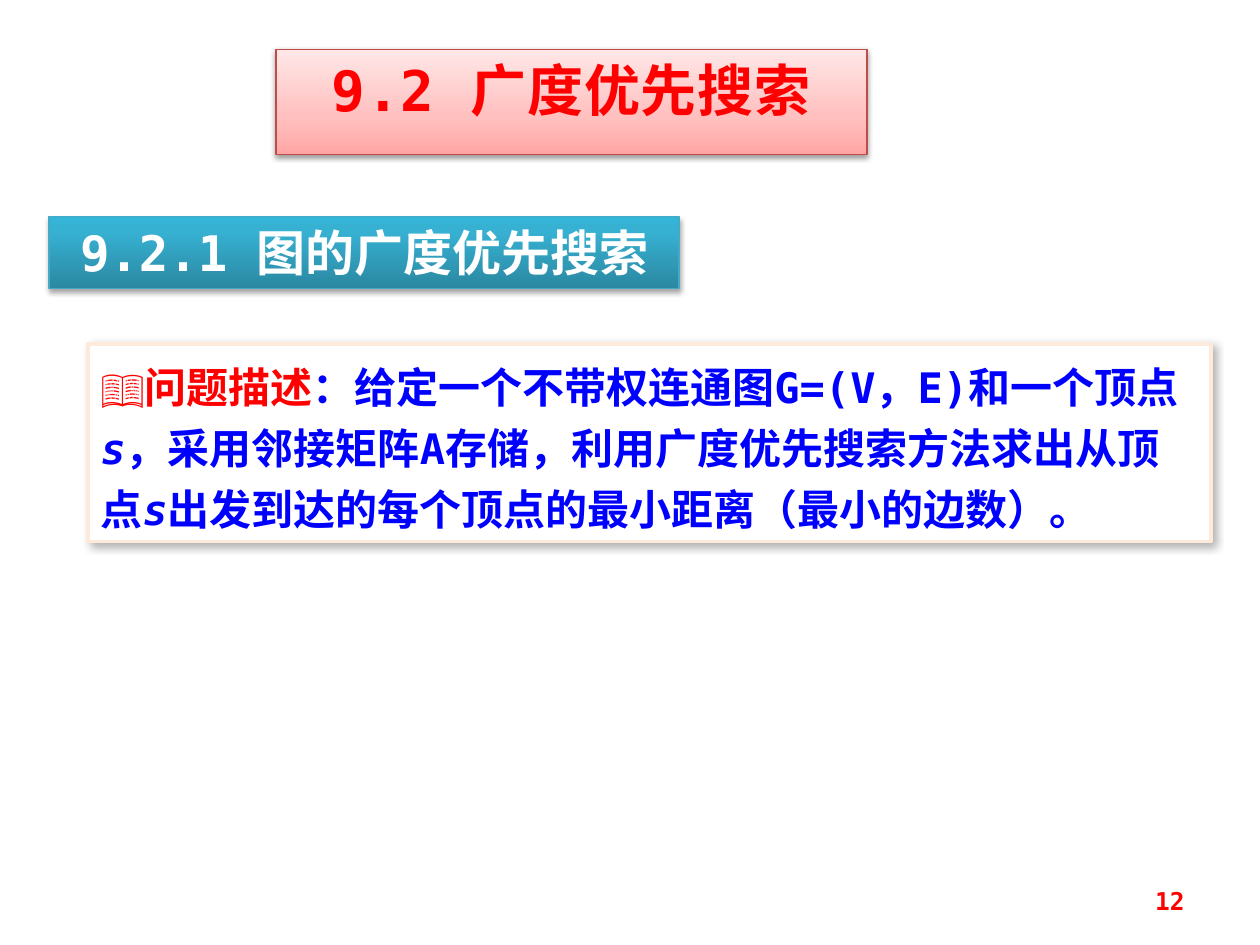
from dataclasses import dataclass

from lxml.etree import SubElement
from pptx import Presentation
from pptx.dml.color import RGBColor
from pptx.enum.shapes import MSO_SHAPE
from pptx.enum.text import MSO_ANCHOR, MSO_AUTO_SIZE, PP_ALIGN
from pptx.oxml.ns import qn
from pptx.util import Inches, Pt


@dataclass(frozen=True)
class Theme:
    font: str = "DejaVu Sans Mono"
    red: str = "FF0000"
    blue: str = "0000FF"
    white: str = "FFFFFF"
    pink_line: str = "BF4C48"
    teal_line: str = "46AAC5"
    cream_line: str = "FDEADA"
    pink_stops: tuple = ((0, "FFA6A5"), (35, "FFC0BF"), (100, "FFE7E7"))
    teal_stops: tuple = ((0, "2A88A2"), (80, "37B1D2"), (100, "34B4D6"))
    title_size: int = 32
    heading_size: int = 28
    body_size: int = 24
    number_size: int = 14
    body_leading: int = 35


THEME = Theme()
WIDTH, HEIGHT = 10, 7.5

TITLE = "9.2 广度优先搜索"
HEADING = "9.2.1 图的广度优先搜索"
# (text, colour, italic)
PROBLEM = [
    ("📖问题描述", THEME.red, False),
    ("：给定一个不带权连通图G=(V，E)和一个顶点", THEME.blue, False),
    ("s", THEME.blue, True),
    ("，采用邻接矩阵A存储，利用广度优先搜索方法求出从顶点", THEME.blue, False),
    ("s", THEME.blue, True),
    ("出发到达的每个顶点的最小距离（最小的边数）。", THEME.blue, False),
]
PAGE_NUMBER = "12"


def rgb(colour):
    return RGBColor.from_string(colour)


def place(shape, left, top, width, height):
    shape.left, shape.top = Inches(left), Inches(top)
    shape.width, shape.height = Inches(width), Inches(height)


def fill_gradient(shape, stops):
    """Fill from bottom to top with any number of (percent, colour) stops."""
    shape.fill.gradient()
    shape.fill.gradient_angle = 90
    stop_list = shape._element.spPr.find(".//" + qn("a:gsLst"))
    for stop in list(stop_list):
        stop_list.remove(stop)
    for percent, colour in stops:
        stop = SubElement(stop_list, qn("a:gs"), pos=str(percent * 1000))
        SubElement(stop, qn("a:srgbClr"), val=colour)


def outline(shape, colour, width):
    shape.line.color.rgb = rgb(colour)
    shape.line.width = Pt(width)


def cast_shadow(shape, opacity, blur, distance, angle):
    shape.shadow.inherit = False
    effects = shape._element.spPr.find(qn("a:effectLst"))
    shadow = SubElement(effects, qn("a:outerShdw"), blurRad=str(Pt(blur)),
                        dist=str(Pt(distance)), dir=str(angle * 60000),
                        rotWithShape="0")
    black = SubElement(shadow, qn("a:srgbClr"), val="000000")
    SubElement(black, qn("a:alpha"), val=str(opacity * 1000))


def write(shape, spans, size, align, anchor=MSO_ANCHOR.TOP):
    """Write one bold paragraph of (text, colour, italic) spans."""
    frame = shape.text_frame
    frame.word_wrap = True
    frame.vertical_anchor = anchor
    para = frame.paragraphs[0]
    para.alignment = align
    para.font.name, para.font.size, para.font.bold = THEME.font, Pt(size), True
    for text, colour, italic in spans:
        span = para.add_run()
        span.text = text
        span.font.color.rgb = rgb(colour)
        if italic:
            span.font.italic = True
    return para


def main():
    deck = Presentation()
    deck.slide_width, deck.slide_height = Inches(WIDTH), Inches(HEIGHT)
    page = deck.slides.add_slide(deck.slide_layouts[5])

    title = page.shapes.title
    heading, problem = (
        page.shapes.add_shape(MSO_SHAPE.RECTANGLE, 0, 0, 0, 0) for _ in range(2))
    number = page.shapes.add_textbox(0, 0, 0, 0)

    place(title, 2.19, 0.39, 4.69, 0.64)
    fill_gradient(title, THEME.pink_stops)
    outline(title, THEME.pink_line, 0.75)
    cast_shadow(title, 38, 3.1, 1.6, 90)
    para = write(title, [(TITLE, THEME.red, False)], THEME.title_size,
                 PP_ALIGN.CENTER)
    para.runs[0].font._element.set("spc", "50")

    place(heading, 0.39, 1.72, WIDTH / 2, 0.57)
    fill_gradient(heading, THEME.teal_stops)
    outline(heading, THEME.teal_line, 0.75)
    cast_shadow(heading, 35, 3.1, 1.8, 90)
    write(heading, [(HEADING, THEME.white, False)], THEME.heading_size,
          PP_ALIGN.CENTER)

    place(problem, 0.7, 2.73, 8.91, 1.57)
    problem.fill.solid()
    problem.fill.fore_color.rgb = rgb(THEME.white)
    outline(problem, THEME.cream_line, 2)
    cast_shadow(problem, 30, 4.5, 2.6, 53)
    para = write(problem, PROBLEM, THEME.body_size, PP_ALIGN.LEFT)
    para.line_spacing = Pt(THEME.body_leading)

    for box in (title, heading, problem):
        box.text_frame.auto_size = MSO_AUTO_SIZE.SHAPE_TO_FIT_TEXT

    place(number, 7.17, 6.95, 2.33, 0.4)
    write(number, [(PAGE_NUMBER, THEME.red, False)], THEME.number_size,
          PP_ALIGN.RIGHT, MSO_ANCHOR.MIDDLE)

    deck.save("out.pptx")


if __name__ == "__main__":
    main()
